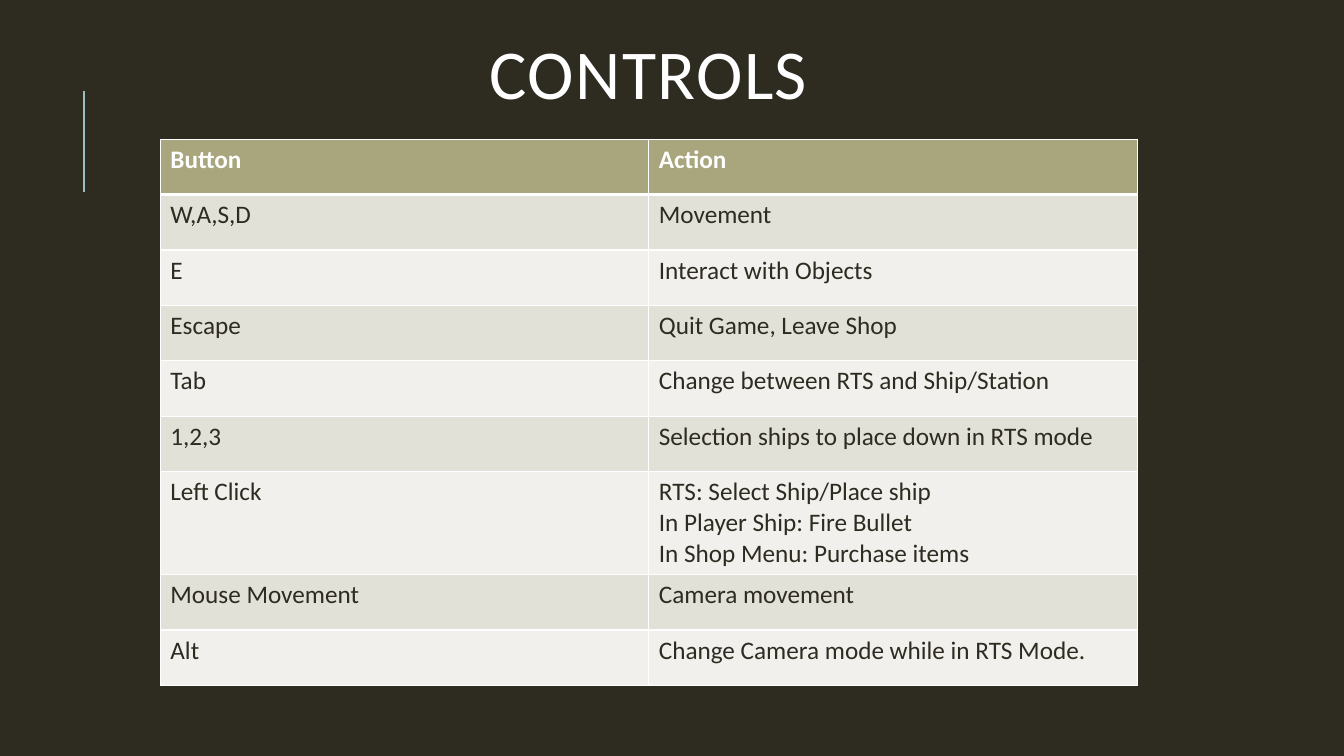
from lxml.etree import SubElement
from pptx import Presentation
from pptx.dml.color import RGBColor
from pptx.enum.shapes import MSO_CONNECTOR
from pptx.enum.text import MSO_ANCHOR, PP_ALIGN
from pptx.oxml.ns import qn
from pptx.util import Inches, Pt

# Content
TITLE = "CONTROLS"
CONTROLS = [
    ("Button", ["Action"]),
    ("W,A,S,D", ["Movement"]),
    ("E", ["Interact with Objects"]),
    ("Escape", ["Quit Game, Leave Shop"]),
    ("Tab", ["Change between RTS and Ship/Station"]),
    ("1,2,3", ["Selection ships to place down in RTS mode"]),
    ("Left Click", ["RTS: Select Ship/Place ship",
                    "In Player Ship: Fire Bullet",
                    "In Shop Menu: Purchase items"]),
    ("Mouse Movement", ["Camera movement"]),
    ("Alt", ["Change Camera mode while in RTS Mode."]),
]

# Style
FONT = "Calibri"
DARK, WHITE, ACCENT = "2E2B21", "FFFFFF", "9CBEBD"
HEADER_FILL, BAND_FILLS = "A9A57C", ("E2E1D7", "F1F0EC")
ROW_HEIGHT, TALL_ROW_HEIGHT = 0.55, 1.02
TABLE_LEFT, TABLE_TOP, COLUMN_WIDTH = 1.59, 1.38, 4.845


def color(value):
    return RGBColor.from_string(value)


def write(text_frame, lines, size=18, fill=DARK, bold=False,
          align=PP_ALIGN.LEFT, line_spacing=None, letter_spacing=None):
    for index, line in enumerate(lines):
        paragraph = text_frame.add_paragraph() if index else text_frame.paragraphs[0]
        paragraph.alignment = align
        paragraph.line_spacing = line_spacing
        run = paragraph.add_run()
        run.text = line
        run.font.name = FONT
        run.font.size = Pt(size)
        run.font.bold = bold
        run.font.color.rgb = color(fill)
        if letter_spacing:
            run.font._element.set("spc", str(letter_spacing * 100))


def add_borders(cell, **widths):
    properties = cell._tc.get_or_add_tcPr()
    for side, width in widths.items():
        line = SubElement(properties, qn(f"a:ln{side}"), w=str(Pt(width)))
        solid = SubElement(line, qn("a:solidFill"))
        SubElement(solid, qn("a:srgbClr"), val=WHITE)


# Slide and background
presentation = Presentation()
presentation.slide_width = Inches(13.33)
presentation.slide_height = Inches(7.5)
slide = presentation.slides.add_slide(presentation.slide_layouts[5])
slide.background.fill.solid()
slide.background.fill.fore_color.rgb = color(DARK)

# Accent line
accent_line = slide.shapes.add_connector(
    MSO_CONNECTOR.STRAIGHT, Inches(0.83), Inches(1.9), Inches(0.83), Inches(0.9))
accent_line.line.color.rgb = color(ACCENT)
accent_line.line.width = Pt(1.5)
SubElement(accent_line._element.spPr, qn("a:effectLst"))

# Title
title = slide.shapes.title
title.left, title.top = Inches(1.12), Inches(0.2)
title.width, title.height = Inches(10.63), Inches(1.18)
title.text_frame.vertical_anchor = MSO_ANCHOR.MIDDLE
write(title.text_frame, [TITLE], size=50, fill=WHITE, align=PP_ALIGN.CENTER,
      line_spacing=0.8, letter_spacing=1)

# Controls table
row_heights = [TALL_ROW_HEIGHT if len(actions) > 1 else ROW_HEIGHT
               for _, actions in CONTROLS]
table = slide.shapes.add_table(
    len(CONTROLS), 2, Inches(TABLE_LEFT), Inches(TABLE_TOP),
    Inches(2 * COLUMN_WIDTH), Inches(sum(row_heights))).table

for row_index, (button, actions) in enumerate(CONTROLS):
    table.rows[row_index].height = Inches(row_heights[row_index])
    is_header = row_index == 0
    row_fill = HEADER_FILL if is_header else BAND_FILLS[(row_index - 1) % 2]
    for column_index, lines in enumerate(([button], actions)):
        cell = table.cell(row_index, column_index)
        add_borders(cell, L=1, R=1, T=3 if row_index == 1 else 1,
                    B=3 if is_header else 1)
        cell.fill.solid()
        cell.fill.fore_color.rgb = color(row_fill)
        write(cell.text_frame, lines, fill=WHITE if is_header else DARK,
              bold=is_header)

presentation.save("out.pptx")
